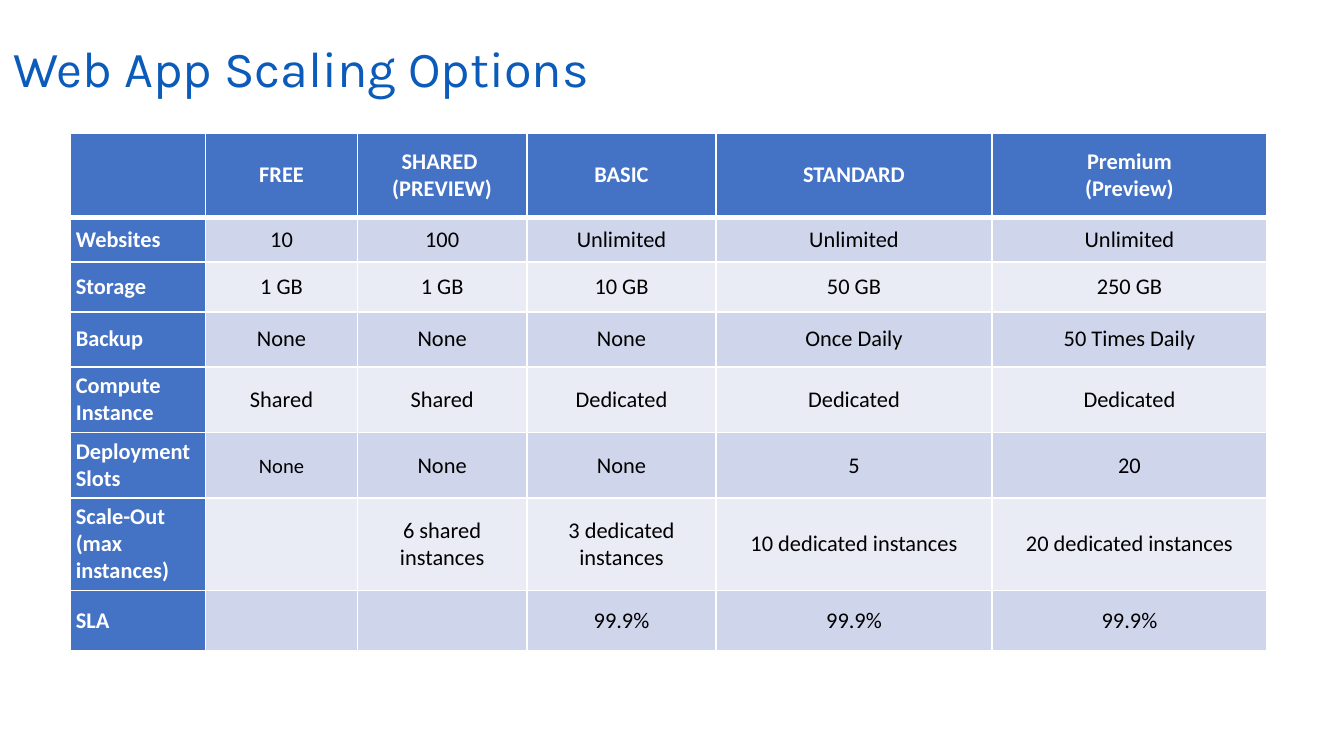
"""Build a slide comparing web app scaling options by pricing tier."""
from lxml import etree
from pptx import Presentation, util as u
from pptx.dml.color import RGBColor
from pptx.enum import text
from pptx.oxml.ns import qn

TITLE = "Web App Scaling Options"
ROWS = [
    ["", "FREE", "SHARED \v(PREVIEW)", "BASIC", "STANDARD", "Premium\n(Preview)"],
    ["Websites", "10", "100", "Unlimited", "Unlimited", "Unlimited"],
    ["Storage", "1 GB", "1 GB", "10 GB", "50 GB", "250 GB"],
    ["Backup", "None", "None", "None", "Once Daily", "50 Times Daily"],
    ["Compute Instance", "Shared", "Shared", "Dedicated", "Dedicated", "Dedicated"],
    ["Deployment Slots", "None", "None", "None", "5", "20"],
    ["Scale-Out (max instances)", "", "6 shared instances", "3 dedicated instances",
     "10 dedicated instances", "20 dedicated instances"],
    ["SLA", "", "", "99.9%", "99.9%", "99.9%"],
]
COL_WIDTHS = [1.01, 1.13, 1.26, 1.41, 2.05, 2.05]
ROW_HEIGHTS = [0.63, 0.33, 0.37, 0.41] + [0.45] * 4
CELL_MARGIN = u.Pt(3.2)
SLOTS_ROW = 5
SMALL_CELL = (SLOTS_ROW, 1)
COLORS = {"title": "0A5BBA", "header": "4472C4", "odd": "CFD5EA", "even": "E9EBF5",
          "white": "FFFFFF", "black": "000000"}


def rgb(name):
    return RGBColor.from_string(COLORS[name])


def style_run(r, font, size, color, bold=False):
    r.font.name, r.font.size, r.font.bold = font, u.Pt(size), bold
    r.font.color.rgb = rgb(color)


def add_borders(cell, row):
    tc_pr = cell._tc.get_or_add_tcPr()
    for side in "LRTB":
        thick = (row, side) in [(0, "B"), (1, "T")]
        ln = etree.SubElement(tc_pr, qn(f"a:ln{side}"), w=str(u.Pt(3 if thick else 1)))
        fill = etree.SubElement(ln, qn("a:solidFill"))
        etree.SubElement(fill, qn("a:srgbClr"), val=COLORS["white"])


def fill_cell(cell, value, row, col):
    heading = row == 0 or col == 0
    add_borders(cell, row)
    cell.fill.solid()
    cell.fill.fore_color.rgb = rgb("header" if heading else "odd" if row % 2 else "even")
    cell.vertical_anchor = text.MSO_ANCHOR.MIDDLE
    cell.margin_left = cell.margin_right = CELL_MARGIN
    cell.margin_top = cell.margin_bottom = CELL_MARGIN
    cell.text_frame.text = value
    for p in cell.text_frame.paragraphs:
        p.alignment = text.PP_ALIGN.CENTER if row == 0 or col else text.PP_ALIGN.LEFT
        p.line_spacing = 1.07 if row == SLOTS_ROW and col else u.Pt(14.4)
        for r in p.runs:
            style_run(r, "Calibri", 11 if (row, col) == SMALL_CELL else 12,
                      "white" if heading else "black", heading)


def add_title(s):
    tf = s.shapes.add_textbox(0, u.Inches(0.25), u.Inches(9.25), u.Inches(0.56)).text_frame
    tf.word_wrap = True
    tf.vertical_anchor = text.MSO_ANCHOR.MIDDLE
    tf.text = TITLE
    p = tf.paragraphs[0]
    p.line_spacing = 0.9
    style_run(p.runs[0], "Karla", 27, "title")


def add_options_table(s):
    table = s.shapes.add_table(len(ROWS), len(COL_WIDTHS), u.Inches(0.52), u.Inches(0.99),
                               u.Inches(sum(COL_WIDTHS)), u.Inches(sum(ROW_HEIGHTS))).table
    for column, width in zip(table.columns, COL_WIDTHS):
        column.width = u.Inches(width)
    for row, height in zip(table.rows, ROW_HEIGHTS):
        row.height = u.Inches(height)
    for i, values in enumerate(ROWS):
        for j, value in enumerate(values):
            fill_cell(table.cell(i, j), value, i, j)


def main():
    prs = Presentation()
    prs.slide_width, prs.slide_height = u.Inches(10), u.Inches(10 * 9 / 16)
    s = prs.slides.add_slide(prs.slide_layouts[6])
    add_title(s)
    add_options_table(s)
    prs.save("out.pptx")


if __name__ == "__main__":
    main()
